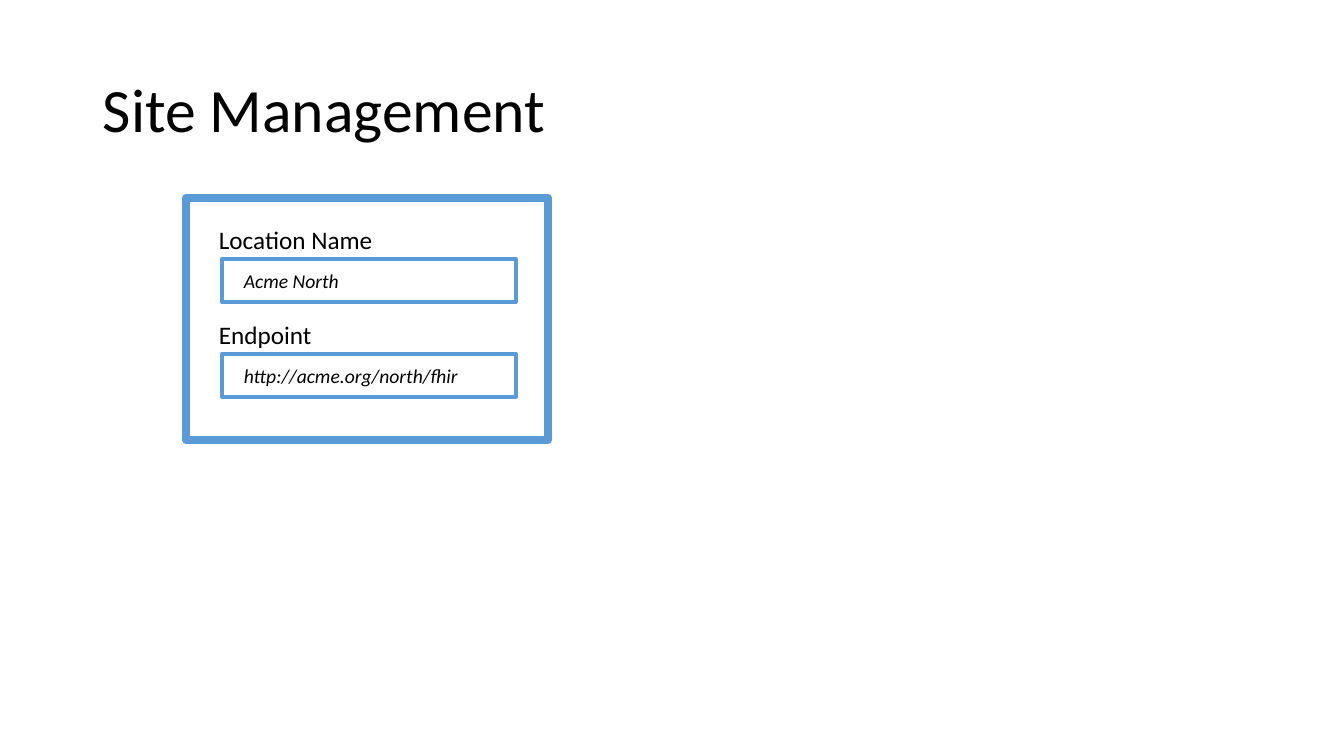
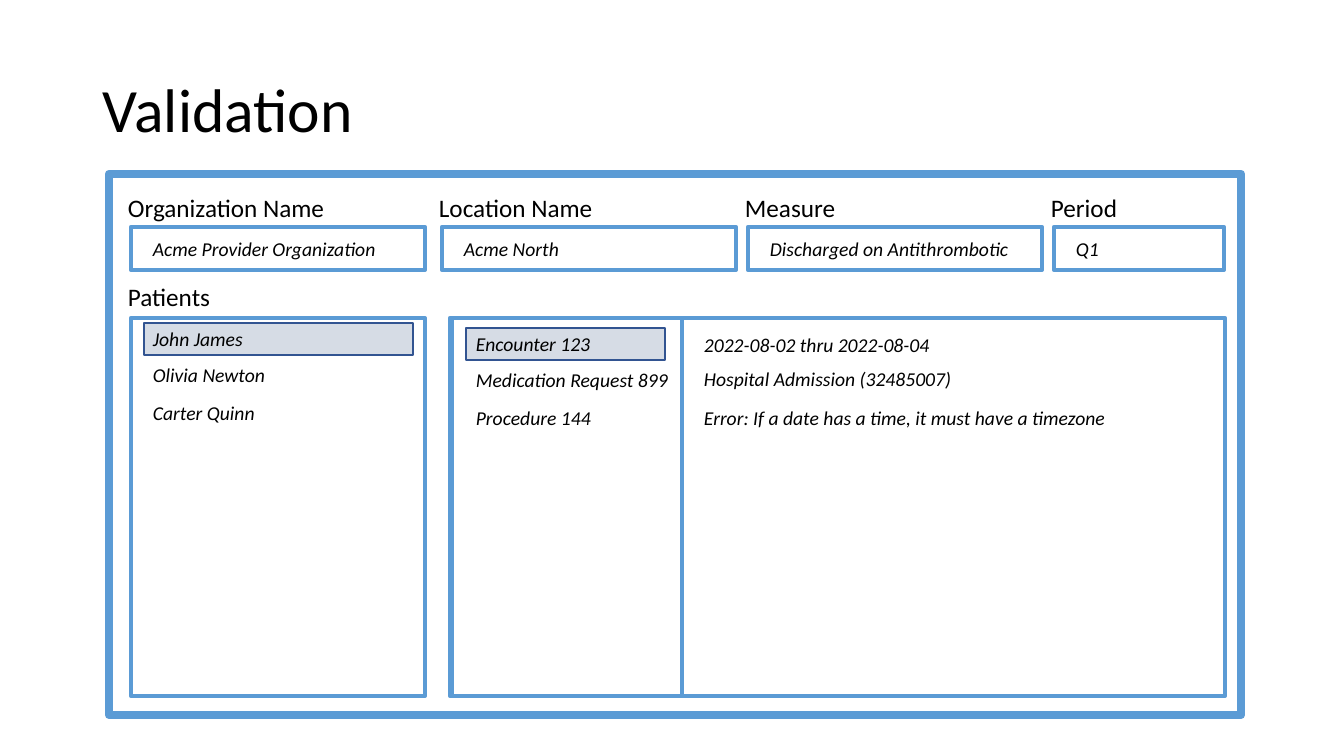
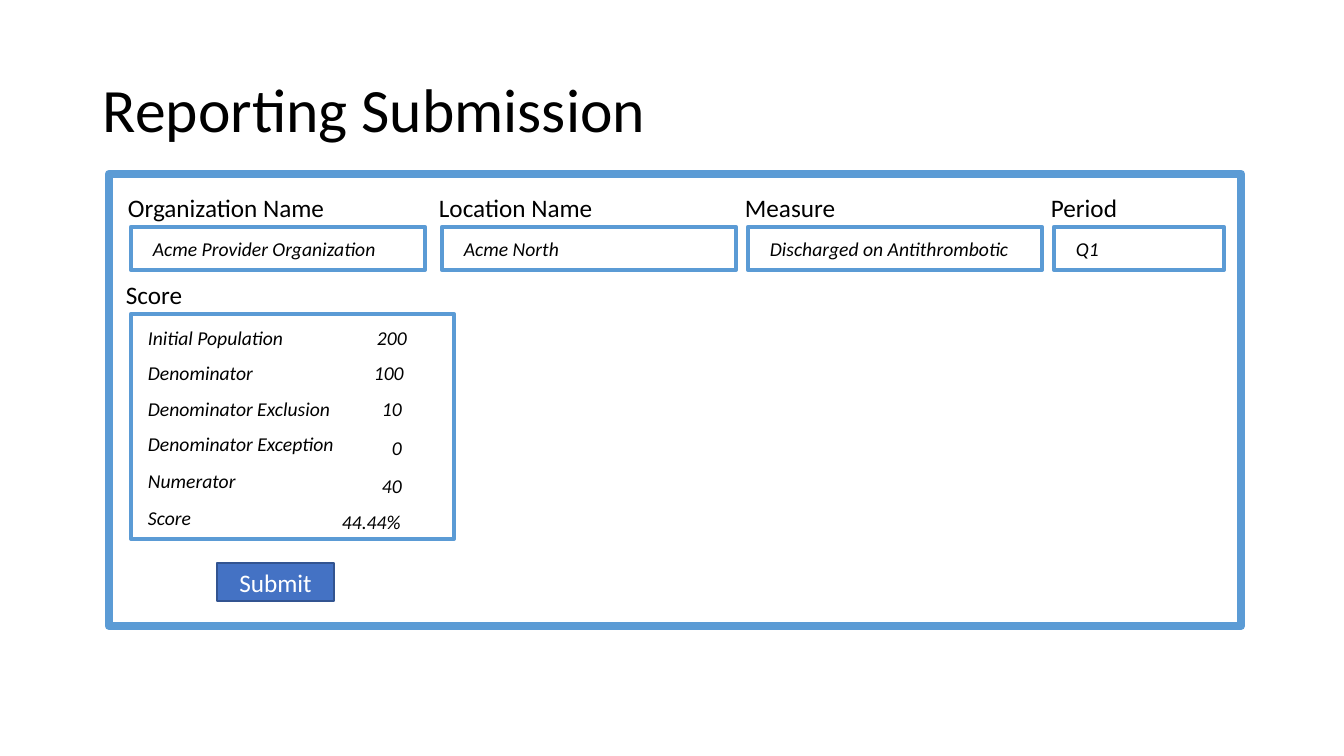
from pptx import Presentation
from pptx.dml.color import RGBColor
from pptx.enum.shapes import MSO_SHAPE
from pptx.enum.text import MSO_ANCHOR, PP_ALIGN
from pptx.util import Emu, Pt

PX = 914400 / 100.8
BLACK = RGBColor(0x00, 0x00, 0x00)
WHITE = RGBColor(0xFF, 0xFF, 0xFF)
OUTLINE = RGBColor(0x5B, 0x9B, 0xD5)
SELECTED = RGBColor(0xD6, 0xDC, 0xE5)
BUTTON = RGBColor(0x44, 0x72, 0xC4)
EDGE = RGBColor(0x32, 0x54, 0x91)
FONT = "Calibri"
FRAME_LINE, FIELD_LINE, EDGE_LINE = 6, 3, 1
TITLE_SIZE, LABEL_SIZE, VALUE_SIZE = 44, 18, 14
FIELD_HEIGHT = 43
LABEL_WIDTH, LABEL_HEIGHT, VALUE_HEIGHT = 226, 40, 34


def add_box(slide, x, y, width, height, weight, line=OUTLINE, fill=None):
    box = slide.shapes.add_shape(
        MSO_SHAPE.RECTANGLE, *(Emu(round(n * PX)) for n in (x, y, width, height)))
    box.shadow.inherit = False
    box.line.color.rgb = line
    box.line.width = Pt(weight)
    if fill is None:
        box.fill.background()
    else:
        box.fill.solid()
        box.fill.fore_color.rgb = fill
    return box


def add_text(slide, text, x, y, width, height=VALUE_HEIGHT, size=VALUE_SIZE):
    area = slide.shapes.add_textbox(*(Emu(round(n * PX)) for n in (x, y, width, height)))
    frame = area.text_frame
    frame.word_wrap = size != VALUE_SIZE
    frame.text = text
    font = frame.paragraphs[0].font
    font.name = FONT
    font.size = Pt(size)
    font.color.rgb = BLACK
    font.italic = size == VALUE_SIZE
    return frame


prs = Presentation()
prs.slide_width, prs.slide_height = Emu(round(1344 * PX)), Emu(round(756 * PX))

# Fields: label, value, value width, x, y, field width
site_fields = [
    ("Location Name", "Acme North", 116, 222, 259, 294),
    ("Endpoint", "http://acme.org/north/fhir", 237, 222, 354, 294),
]
report_fields = [
    ("Organization Name", "Acme Provider Organization", 245, 131, 227, 294),
    ("Location Name", "Acme North", 116, 442, 227, 294),
    ("Measure", "Discharged on Antithrombotic", 262, 748, 227, 294),
    ("Period", "Q1", 43, 1054, 227, 170),
]
pages = [
    ("Site Management", (186, 198, 362, 242), site_fields),
    ("Validation", (109, 174, 1132, 541), report_fields),
    ("Reporting Submission", (109, 174, 1132, 452), report_fields),
]

# Title, frame and fields of every slide
slides = []
for title, frame, fields in pages:
    slide = prs.slides.add_slide(prs.slide_layouts[6])
    slides.append(slide)
    heading = add_text(slide, title, 93, 40, 1159, 146, TITLE_SIZE)
    heading.vertical_anchor = MSO_ANCHOR.MIDDLE
    heading.paragraphs[0].line_spacing = 0.9
    add_box(slide, *frame, FRAME_LINE)
    for label, value, value_width, x, y, width in fields:
        add_box(slide, x, y, width, FIELD_HEIGHT, FIELD_LINE)
        add_text(slide, label, x - 13, y - 40, LABEL_WIDTH, LABEL_HEIGHT, LABEL_SIZE)
        add_text(slide, value, x + 12, y + 5, value_width)
_, validation, submission = slides

# Validation: patients, their resources and the details of the selected one
add_text(validation, "Patients", 118, 276, LABEL_WIDTH, LABEL_HEIGHT, LABEL_SIZE)
for x, width in [(131, 294), (450, 775), (452, 230)]:
    add_box(validation, x, 318, width, 378, FIELD_LINE)
for x, y, width in [(144, 323, 269), (466, 328, 199)]:
    add_box(validation, x, y, width, 32, EDGE_LINE, EDGE, SELECTED)

columns = [
    (143, (322, 358, 396),
     [("John James", 111), ("Olivia Newton", 133), ("Carter Quinn", 123)]),
    (466, (327, 363, 401),
     [("Encounter 123", 147), ("Medication Request 899", 217), ("Procedure 144", 147)]),
    (694, (328, 362, 401),
     [("2022-08-02 thru 2022-08-04", 246), ("Hospital Admission (32485007)", 288),
      ("Error: If a date has a time, it must have a timezone", 446)]),
]
for x, rows, entries in columns:
    for y, (entry, width) in zip(rows, entries):
        add_text(validation, entry, x, y, width)

# Reporting Submission: score panel
add_text(submission, "Score", 116, 274, LABEL_WIDTH, LABEL_HEIGHT, LABEL_SIZE)
add_box(submission, 131, 314, 323, 225, FIELD_LINE)

# Measure, width, y, then count, x, width, y
scores = [
    ("Initial Population", 157, 321, "200", 367, 50, 321),
    ("Denominator", 126, 356, "100", 364, 50, 356),
    ("Denominator Exclusion", 205, 392, "10", 372, 40, 392),
    ("Denominator Exception", 208, 427, "0", 382, 30, 431),
    ("Numerator", 109, 464, "40", 372, 40, 469),
    ("Score", 64, 501, "44.44%", 332, 80, 505),
]
for measure, measure_width, measure_y, count, count_x, count_width, count_y in scores:
    add_text(submission, measure, 138, measure_y, measure_width)
    add_text(submission, count, count_x, count_y, count_width)

# Submit button
submit = add_box(submission, 217, 563, 117, 38, EDGE_LINE, EDGE, BUTTON).text_frame
submit.text = "Submit"
submit.vertical_anchor = MSO_ANCHOR.MIDDLE
caption = submit.paragraphs[0]
caption.alignment = PP_ALIGN.CENTER
caption.font.name = FONT
caption.font.size = Pt(LABEL_SIZE)
caption.font.color.rgb = WHITE

prs.save("out.pptx")
